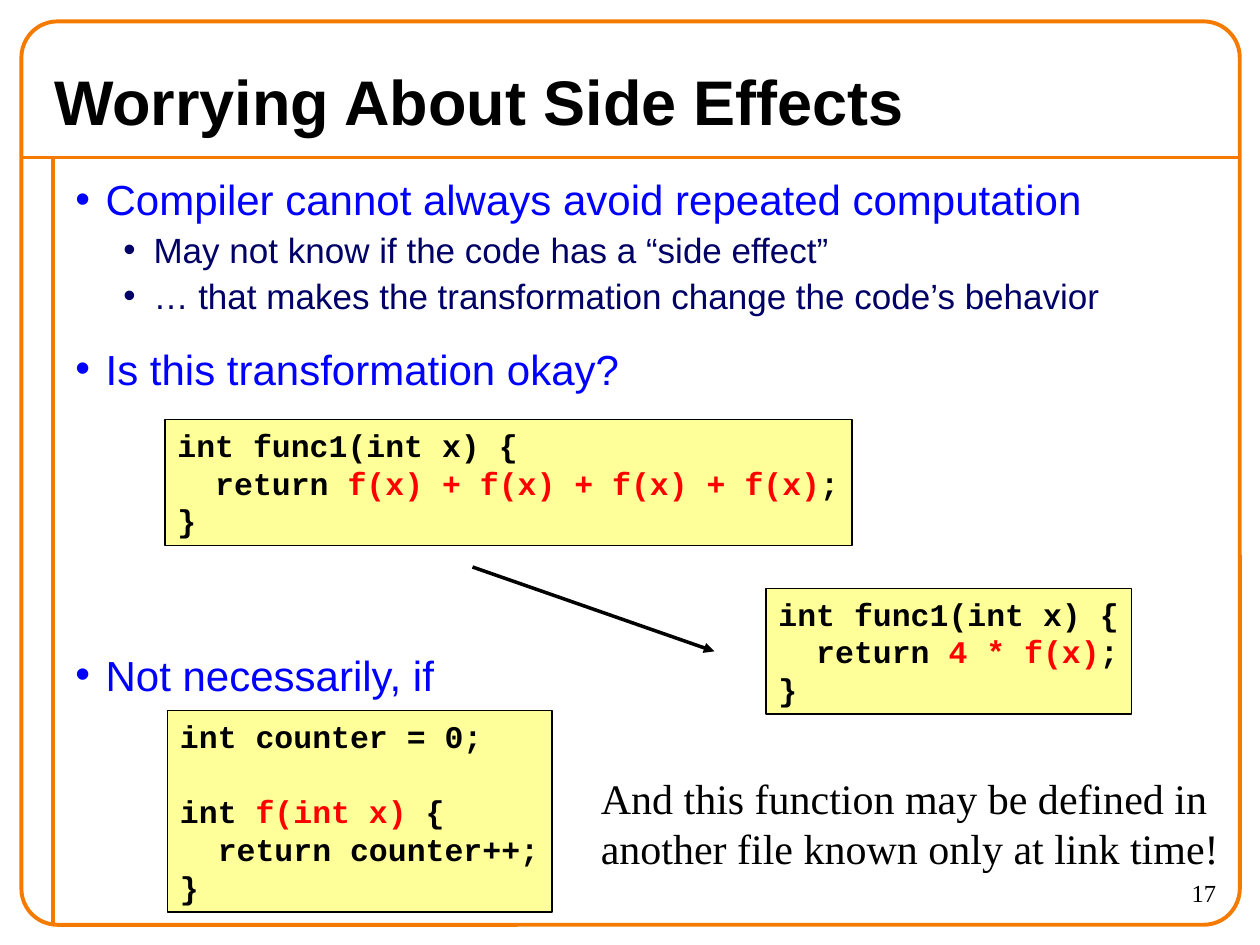
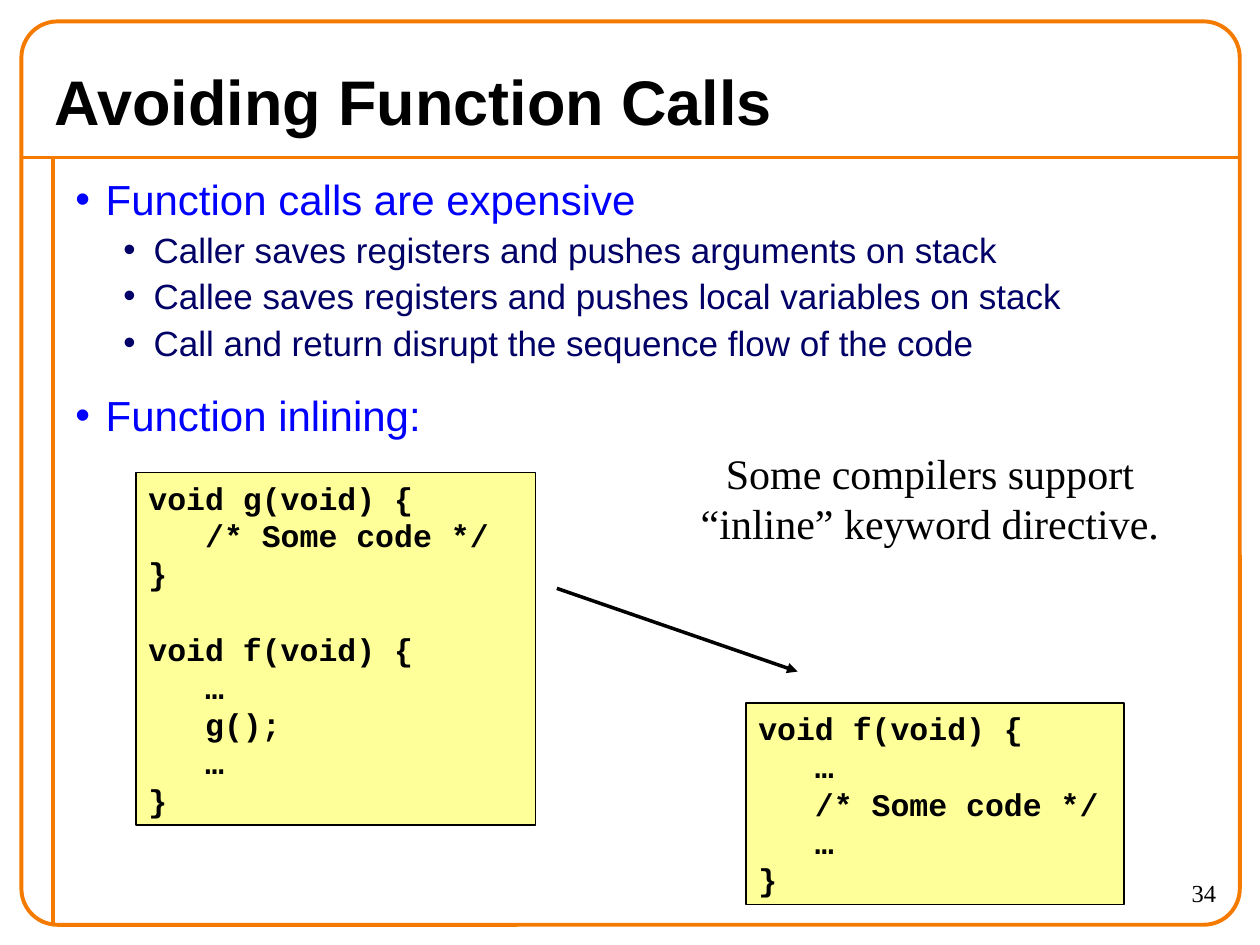
from dataclasses import dataclass

from lxml.etree import SubElement
from pptx import Presentation
from pptx.dml.color import RGBColor
from pptx.enum.shapes import MSO_CONNECTOR as Connector, MSO_SHAPE as Shape
from pptx.enum.text import MSO_ANCHOR as Anchor, PP_ALIGN as Align
from pptx.oxml.ns import qn
from pptx.util import Inches, Pt

# Shared look
ORANGE, BLACK, RED = "F47A00", "000000", "FF0000"
BLUE, NAVY, YELLOW = "0000FF", "000066", "FFFF99"
SANS, MONO, SERIF = "Arial", "Courier New", "Times New Roman"
LEADING = 1.2  # line height as a multiple of the text size


@dataclass(frozen=True)
class BulletLevel:
    size: int
    color: str
    indent: float
    space_before: float


LEVELS = (BulletLevel(24, BLUE, 0.24, 15), BulletLevel(20, NAVY, 0.62, 2.5))
HANG = 0.24


@dataclass(frozen=True)
class Bullet:
    text: str
    level: int = 0
    space_before: float | None = None


@dataclass(frozen=True)
class CodeBox:
    """Source code on a yellow panel; text between bars is highlighted."""
    left: float
    top: float
    width: float
    height: float
    code: str
    wrap: bool = True


@dataclass(frozen=True)
class Note:
    left: float
    top: float
    width: float
    height: float
    text: str
    align: Align = Align.LEFT


@dataclass(frozen=True)
class Arrow:
    start: tuple[float, float]
    end: tuple[float, float]


@dataclass(frozen=True)
class Page:
    title: str
    number: str
    bullets: tuple[Bullet, ...]
    figures: tuple[CodeBox | Note | Arrow, ...]


def rgb(color: str) -> RGBColor:
    return RGBColor.from_string(color)


def write(para, text: str, *, size: float, font: str, color: str = BLACK,
          bold: bool = False, align: Align = Align.LEFT, before: float = 0) -> None:
    """Format a paragraph and fill it, with text between bars in red."""
    para.alignment = align
    para.line_spacing = Pt(size * LEADING)
    para.space_before = Pt(before)
    para.font.size = Pt(size)
    for index, piece in enumerate(text.split("|")):
        if not piece:
            continue
        span = para.add_run()
        span.text = piece
        span.font.size, span.font.name, span.font.bold = Pt(size), font, bold
        span.font.color.rgb = rgb(RED if index % 2 else color)


def next_para(frame, index: int):
    return frame.add_paragraph() if index else frame.paragraphs[0]


def add_text_frame(slide, left: float, top: float, width: float, height: float):
    box = slide.shapes.add_textbox(Inches(left), Inches(top), Inches(width), Inches(height))
    box.text_frame.word_wrap = True
    return box.text_frame


def add_line(slide, start: tuple[float, float], end: tuple[float, float],
             color: str, weight: float, arrow: bool = False) -> None:
    line = slide.shapes.add_connector(
        Connector.STRAIGHT, *(Inches(value) for value in (*start, *end)))
    line.line.color.rgb = rgb(color)
    line.line.width = Pt(weight)
    properties = line._element.spPr
    if arrow:
        SubElement(properties.find(qn("a:ln")), qn("a:tailEnd"), type="triangle")
    SubElement(properties, qn("a:effectLst"))


def add_panel(slide, kind: Shape, left: float, top: float, width: float, height: float,
              *, line: str, weight: float, fill: str | None = None):
    panel = slide.shapes.add_shape(
        kind, Inches(left), Inches(top), Inches(width), Inches(height))
    panel.shadow.inherit = False
    panel.line.color.rgb = rgb(line)
    panel.line.width = Pt(weight)
    if fill:
        panel.fill.solid()
        panel.fill.fore_color.rgb = rgb(fill)
    else:
        panel.fill.background()
    return panel


def add_frame(slide) -> None:
    """Rounded border, title rule and left rule."""
    add_line(slide, (0.17, 1.25), (9.83, 1.25), ORANGE, 2.25)
    add_line(slide, (0.42, 1.25), (0.42, 7.33), ORANGE, 2.25)
    border = add_panel(slide, Shape.ROUNDED_RECTANGLE, 0.17, 0.17, 9.67, 7.17,
                       line=ORANGE, weight=2.25)
    border.adjustments[0] = 0.04


def set_title(slide, text: str) -> None:
    title = slide.shapes.title
    title.left, title.top = Inches(0.33), Inches(0.42)
    title.width, title.height = Inches(9.33), Inches(0.75)
    title.text_frame.vertical_anchor = Anchor.MIDDLE
    write(title.text_frame.paragraphs[0], text, size=36, font=SANS, bold=True)


def add_bullets(slide, bullets: tuple[Bullet, ...]) -> None:
    frame = add_text_frame(slide, 0.5, 1.33, 9.25, 6)
    for index, bullet in enumerate(bullets):
        level = LEVELS[bullet.level]
        para = next_para(frame, index)
        para.level = bullet.level
        props = para._p.get_or_add_pPr()
        props.set("marL", str(Inches(level.indent)))
        props.set("indent", str(-Inches(HANG)))
        SubElement(SubElement(props, qn("a:buClr")), qn("a:srgbClr"), val=level.color)
        SubElement(props, qn("a:buFont"), typeface=SANS)
        SubElement(props, qn("a:buChar"), char="•")
        before = level.space_before if bullet.space_before is None else bullet.space_before
        write(para, bullet.text, size=level.size, font=SANS, color=level.color,
              before=before if index else 0)


def add_code(slide, box: CodeBox) -> None:
    panel = add_panel(slide, Shape.RECTANGLE, box.left, box.top, box.width, box.height,
                      line=BLACK, weight=1, fill=YELLOW)
    frame = panel.text_frame
    frame.word_wrap = box.wrap
    frame.vertical_anchor = Anchor.TOP
    for index, text in enumerate(box.code.split("\n")):
        write(next_para(frame, index), text, size=18, font=MONO, bold=True)


def add_note(slide, note: Note) -> None:
    frame = add_text_frame(slide, note.left, note.top, note.width, note.height)
    write(frame.paragraphs[0], note.text, size=24, font=SERIF, align=note.align)


def add_page(deck, page: Page) -> None:
    slide = deck.slides.add_slide(deck.slide_layouts[5])
    add_frame(slide)
    set_title(slide, page.title)
    number = add_text_frame(slide, 8.75, 6.92, 1, 0.42)
    write(number.paragraphs[0], page.number, size=14, font=SERIF, align=Align.RIGHT)
    add_bullets(slide, page.bullets)
    for figure in page.figures:
        if isinstance(figure, CodeBox):
            add_code(slide, figure)
        elif isinstance(figure, Note):
            add_note(slide, figure)
        else:
            add_line(slide, figure.start, figure.end, BLACK, 2, arrow=True)


# Content
SIDE_EFFECTS = Page(
    "Worrying About Side Effects", "17",
    (
        Bullet("Compiler cannot always avoid repeated computation"),
        Bullet("May not know if the code has a “side effect”", 1),
        Bullet("… that makes the transformation change the code’s behavior", 1),
        Bullet("Is this transformation okay?"),
        Bullet("Not necessarily, if", space_before=146),
    ),
    (
        CodeBox(1.31, 3.33, 5.45, 1,
                "int func1(int x) {\n  return |f(x) + f(x) + f(x) + f(x)|;\n}", wrap=False),
        Arrow((3.75, 4.5), (5.67, 5.17)),
        CodeBox(6.08, 4.67, 2.9, 1,
                "int func1(int x) {\n  return |4 * f(x)|;\n}", wrap=False),
        CodeBox(1.33, 5.64, 3.05, 1.6,
                "int counter = 0;\n\nint |f(int x)| {\n  return counter++;\n}", wrap=False),
        Note(4.67, 6.08, 5.17, 0.9,
             "And this function may be defined in another file known only at link time!"),
    ),
)

FUNCTION_CALLS = Page(
    "Avoiding Function Calls", "34",
    (
        Bullet("Function calls are expensive"),
        Bullet("Caller saves registers and pushes arguments on stack", 1),
        Bullet("Callee saves registers and pushes local variables on stack", 1),
        Bullet("Call and return disrupt the sequence flow of the code", 1),
        Bullet("Function inlining:"),
    ),
    (
        CodeBox(1.08, 3.75, 3.17, 2.8,
                "void g(void) {\n   /* Some code */\n}\n\n"
                "void f(void) {\n   …\n   g();\n   …\n}"),
        CodeBox(5.92, 5.58, 3, 1.6,
                "void f(void) {\n   …\n   /* Some code */\n   …\n}"),
        Arrow((4.42, 4.67), (6.33, 5.33)),
        Note(5.42, 3.5, 3.92, 0.9,
             "Some compilers support “inline” keyword directive.", Align.CENTER),
    ),
)


def main() -> None:
    deck = Presentation()
    deck.slide_width, deck.slide_height = Inches(10), Inches(7.5)
    for page in (SIDE_EFFECTS, FUNCTION_CALLS):
        add_page(deck, page)
    deck.save("out.pptx")


if __name__ == "__main__":
    main()
